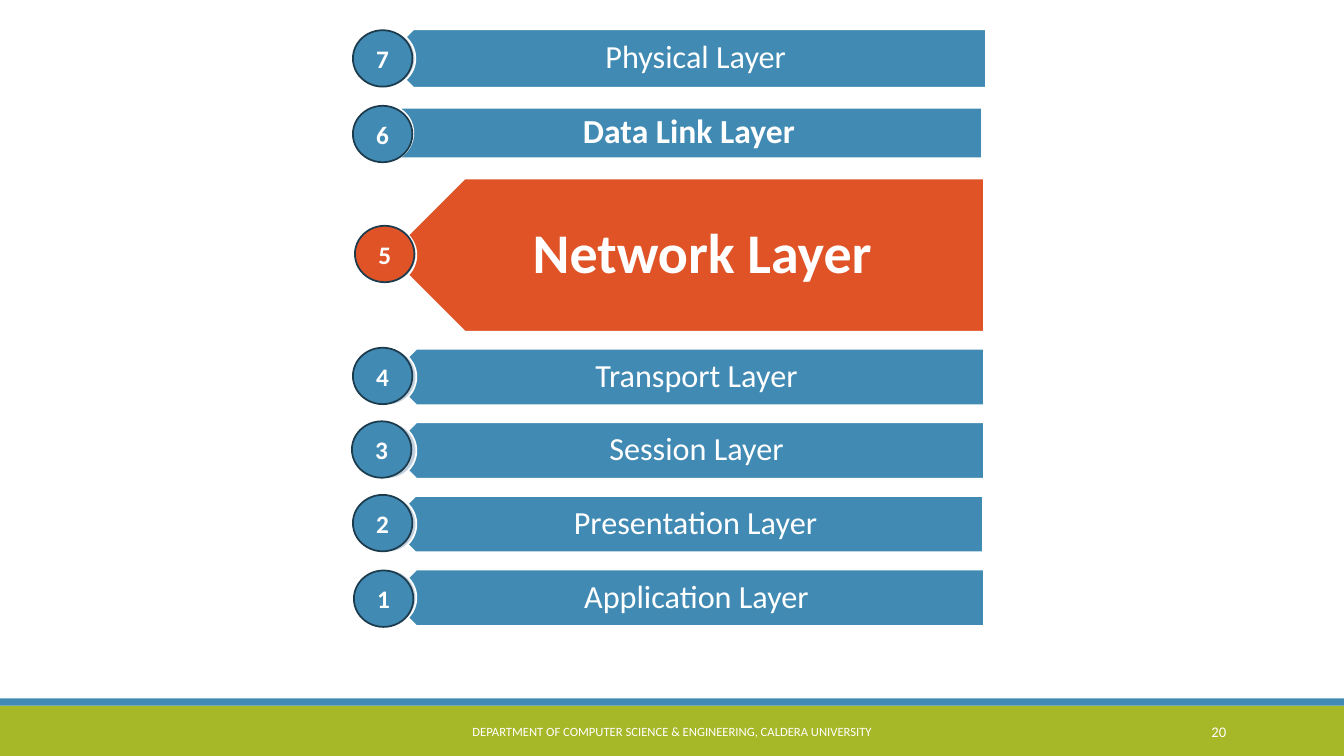
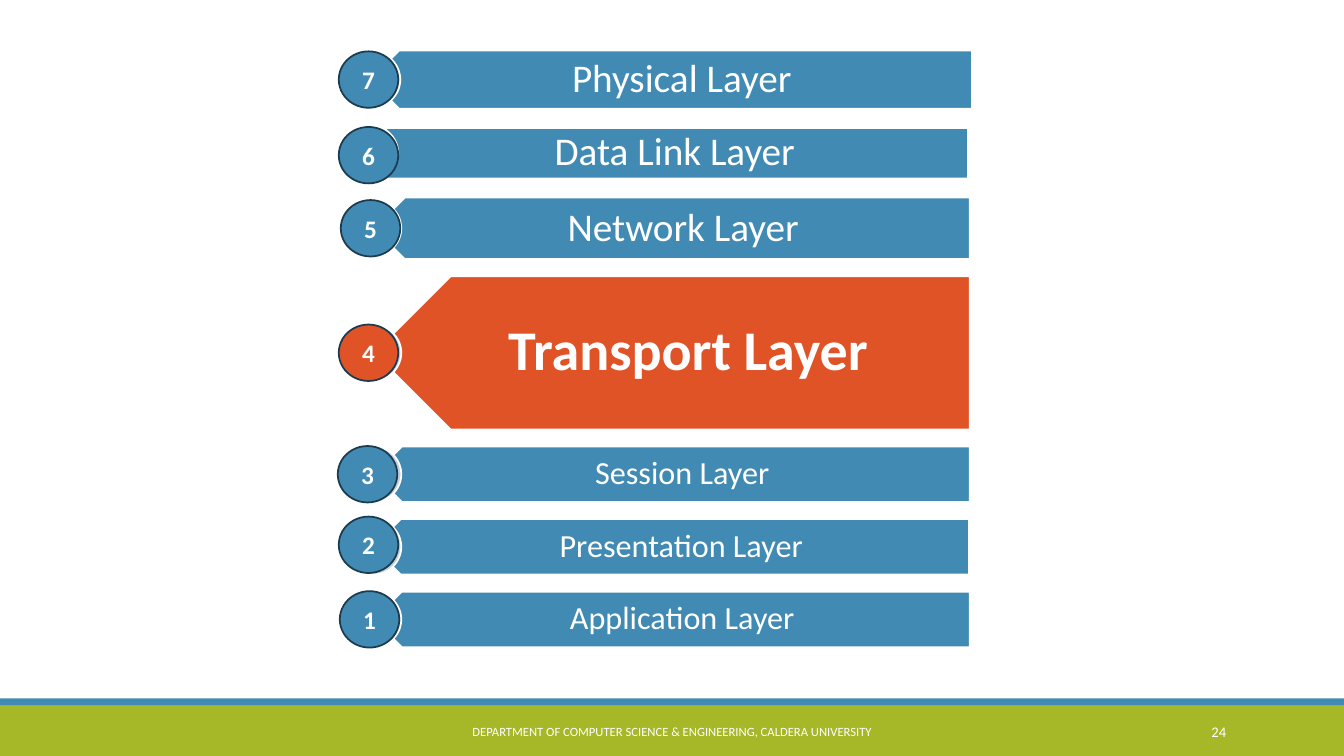
from dataclasses import dataclass

from pptx import Presentation
from pptx.dml.color import RGBColor
from pptx.enum.shapes import MSO_SHAPE
from pptx.enum.text import MSO_ANCHOR, PP_ALIGN
from pptx.util import Inches, Pt

RECTANGLE = MSO_SHAPE.RECTANGLE
ARROW_BAR = MSO_SHAPE.PENTAGON
OVAL = MSO_SHAPE.OVAL
CONNECTOR_DISC = MSO_SHAPE.FLOWCHART_CONNECTOR
MIDDLE = MSO_ANCHOR.MIDDLE
CENTER, RIGHT = PP_ALIGN.CENTER, PP_ALIGN.RIGHT


@dataclass(frozen=True)
class Theme:
    font: str = "Calibri"
    white: str = "FFFFFF"
    blue: str = "418AB3"
    orange: str = "DF5327"
    green: str = "A6B727"
    halo: str = "C0CFDD"
    outline: str = "1C3C4E"
    line_width: float = 1.25
    footer_size: float = 9
    number_size: float = 10.5
    badge_size: float = 18
    active_size: float = 40


THEME = Theme()
SLIDE_WIDTH, SLIDE_HEIGHT = 13.33, 7.5
FOOTER = "DEPARTMENT OF COMPUTER SCIENCE & ENGINEERING, CALDERA UNIVERSITY"

# number: (name, bar left, bar width, halo left, badge left)
LAYERS = {
    7: ("Physical Layer", 3.81, 5.97, 3.56, 3.50),
    6: ("Data Link Layer", 3.73, 6.01, 3.54, 3.50),
    5: ("Network Layer", 3.85, 5.91, 3.57, 3.52),
    4: ("Transport Layer", 3.85, 5.91, 3.57, 3.50),
    3: ("Session Layer", 3.85, 5.91, 3.57, 3.49),
    2: ("Presentation Layer", 3.84, 5.91, 3.57, 3.50),
    1: ("Application Layer", 3.85, 5.91, 3.57, 3.51),
}

# bars, from 7 down to 1: (height, text size, bold, badge shift)
PAGES = [
    {"number": "20", "active": 5, "top": 0.29, "shift": 0, "upper_gap": 0.20,
     "halo": 0.56,
     "bars": [(0.58, 23, False, 0), (0.50, 24, True, 0.01),
              (1.52, THEME.active_size, True, -0.01), (0.56, 23, False, -0.01),
              (0.56, 23, False, -0.01), (0.56, 23, False, -0.01),
              (0.56, 23, False, 0.01)]},
    {"number": "24", "active": 4, "top": 0.50, "shift": -0.14, "upper_gap": 0.19,
     "halo": 0.55,
     "bars": [(0.58, 28, False, 0), (0.50, 28, False, 0.02),
              (0.61, 28, False, 0), (1.52, THEME.active_size, True, 0),
              (0.55, 23, False, 0), (0.55, 23, False, -0.02),
              (0.55, 23, False, 0)]},
]
UPPER_LAYERS = (7, 6)
LOWER_GAP = 0.17
BADGE_WIDTH, BADGE_HEIGHT = 0.59, 0.56


def color(value):
    return RGBColor.from_string(value)


def write(shape, text, size, bold=False, align=CENTER, insets=(0.1, 0.05, 0.1, 0.05)):
    frame = shape.text_frame
    frame.word_wrap = True
    frame.vertical_anchor = MIDDLE
    (frame.margin_left, frame.margin_top,
     frame.margin_right, frame.margin_bottom) = map(Inches, insets)
    frame.text = text
    para = frame.paragraphs[0]
    para.alignment = align
    font = para.runs[0].font
    font.name, font.size, font.bold = THEME.font, Pt(size), bold
    font.color.rgb = color(THEME.white)
    return para


def add_shape(page, kind, left, top, width, height, fill, line=None):
    shape = page.shapes.add_shape(kind, *map(Inches, (left, top, width, height)))
    shape.shadow.inherit = False
    shape.fill.solid()
    shape.fill.fore_color.rgb = color(fill)
    if line:
        shape.line.color.rgb = color(line)
        shape.line.width = Pt(THEME.line_width)
    else:
        shape.line.fill.background()
    return shape


def add_footer(page, number):
    add_shape(page, RECTANGLE, 0, 7, SLIDE_WIDTH, 0.5, THEME.green)
    add_shape(page, RECTANGLE, 0, 6.93, SLIDE_WIDTH, 0.07, THEME.blue)
    for text, left, width, size, align in (
            (FOOTER, 4.03, 5.27, THEME.footer_size, CENTER),
            (number, 10.83, 1.43, THEME.number_size, RIGHT)):
        box = page.shapes.add_textbox(*map(Inches, (left, 7.06, width, 0.4)))
        write(box, text, size, align=align)


def add_bar(page, name, left, top, width, height, fill, size, bold, active):
    bar = add_shape(page, ARROW_BAR, left, top, width, height, fill, THEME.white)
    # Mirroring points the bar left and keeps its text upright.
    bar.element.spPr.xfrm.set("flipH", "1")
    insets = (0.25, 0.17, 0.31, 0.17) if active else (0.25, 0.1, 0.18, 0.1)
    write(bar, name, size, bold, insets=insets).line_spacing = 0.9


def add_layer_stack(page, content):
    top, shift, halo = content["top"], content["shift"], content["halo"]
    for (number, layer), bar in zip(LAYERS.items(), content["bars"]):
        name, bar_left, bar_width, halo_left, badge_left = layer
        height, size, bold, badge_shift = bar
        active = number == content["active"]
        fill = THEME.orange if active else THEME.blue
        middle = top + height / 2
        add_bar(page, name, bar_left + shift, top, bar_width, height,
                fill, size, bold, active)
        add_shape(page, OVAL, halo_left + shift, middle - halo / 2, halo, halo,
                  THEME.halo, THEME.white)
        badge = add_shape(page, CONNECTOR_DISC, badge_left + shift,
                          middle - BADGE_HEIGHT / 2 + badge_shift,
                          BADGE_WIDTH, BADGE_HEIGHT, fill, THEME.outline)
        write(badge, str(number), THEME.badge_size, bold=True)
        top += height + (content["upper_gap"] if number in UPPER_LAYERS else LOWER_GAP)


def main():
    deck = Presentation()
    deck.slide_width, deck.slide_height = Inches(SLIDE_WIDTH), Inches(SLIDE_HEIGHT)
    blank = deck.slide_layouts[6]
    for content in PAGES:
        page = deck.slides.add_slide(blank)
        add_footer(page, content["number"])
        add_layer_stack(page, content)
    deck.save("out.pptx")


if __name__ == "__main__":
    main()
